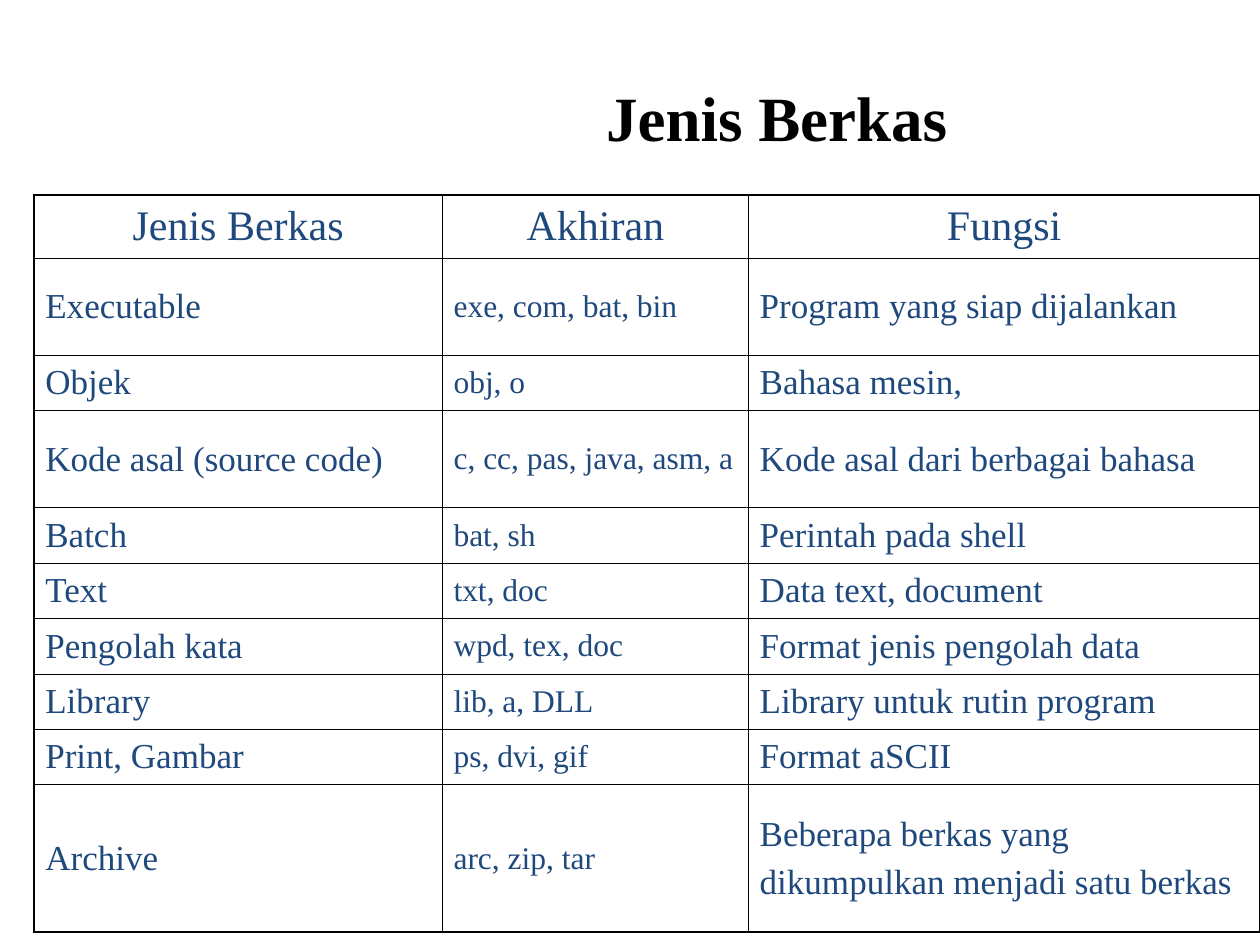
from dataclasses import dataclass

from lxml import etree
from pptx import Presentation
from pptx.dml.color import RGBColor
from pptx.enum.text import MSO_ANCHOR, MSO_AUTO_SIZE, PP_ALIGN
from pptx.oxml.ns import qn
from pptx.util import Inches, Pt

MIDDLE = MSO_ANCHOR.MIDDLE
CENTER, LEFT = PP_ALIGN.CENTER, PP_ALIGN.LEFT
TITLE_ONLY = 5


@dataclass(frozen=True)
class Theme:
    font: str = "Times New Roman"
    title_color: str = "000000"
    text_color: str = "1F497D"
    border_color: str = "000000"
    title_size: float = 36
    header_size: float = 24
    body_sizes: tuple = (20, 18, 20)
    paragraph_gap: float = 5
    outer_border: float = 1.08
    inner_border: float = 0.45


THEME = Theme()

TITLE_BOX = (2.33, 0.21, 7.67, 1.42)
TABLE_ORIGIN = (0.27, 1.55)
COLUMN_WIDTHS = (3.24, 2.43, 4.06)
HEADER_HEIGHT, LINE_HEIGHT, TALL_HEIGHT, ARCHIVE_HEIGHT = 0.5, 0.44, 0.77, 1.17
ROW_HEIGHTS = (
    HEADER_HEIGHT, TALL_HEIGHT, LINE_HEIGHT, TALL_HEIGHT,
    *[LINE_HEIGHT] * 5, ARCHIVE_HEIGHT,
)
CELL_FORMAT = {
    "vertical_anchor": MIDDLE,
    "margin_left": Inches(0.09),
    "margin_right": Inches(0.09),
    "margin_top": Inches(0.05),
    "margin_bottom": Inches(0.05),
}

FILE_TYPES = (
    ("Jenis Berkas", "Akhiran", "Fungsi"),
    ("Executable", "exe, com, bat, bin", "Program yang siap dijalankan"),
    ("Objek", "obj, o", "Bahasa mesin,"),
    ("Kode asal (source code)", "c, cc, pas, java, asm, a",
     "Kode asal dari berbagai bahasa"),
    ("Batch", "bat, sh", "Perintah pada shell"),
    ("Text", "txt, doc", "Data text, document"),
    ("Pengolah kata", "wpd, tex, doc", "Format jenis pengolah data"),
    ("Library", "lib, a, DLL", "Library untuk rutin program"),
    ("Print, Gambar", "ps, dvi, gif", "Format aSCII"),
    ("Archive", "arc, zip, tar",
     "Beberapa berkas yang\ndikumpulkan menjadi satu berkas"),
)


def apply_format(target, values):
    for name, value in values.items():
        setattr(target, name, value)


def write_text(frame, text, size, color, align, bold=False):
    """Write one paragraph per line, with a gap before all but the first."""
    frame.text = text
    for index, paragraph in enumerate(frame.paragraphs):
        paragraph.alignment = align
        if index:
            paragraph.space_before = Pt(THEME.paragraph_gap)
        for run in paragraph.runs:
            apply_format(run.font, {"name": THEME.font, "size": Pt(size), "bold": bold})
            run.font.color.rgb = RGBColor.from_string(color)


def set_borders(cell, widths):
    """Draw the left, right, top and bottom borders, in that order."""
    properties = cell._tc.get_or_add_tcPr()
    for index, (side, width) in enumerate(zip("LRTB", widths)):
        line = etree.Element(qn(f"a:ln{side}"), w=str(Pt(width)))
        fill = etree.SubElement(line, qn("a:solidFill"))
        etree.SubElement(fill, qn("a:srgbClr"), val=THEME.border_color)
        properties.insert(index, line)


def add_title(slide, box, text):
    title = slide.shapes.title
    title.left, title.top, title.width, title.height = map(Inches, box)
    apply_format(title.text_frame, {
        "word_wrap": True,
        "vertical_anchor": MIDDLE,
        "auto_size": MSO_AUTO_SIZE.NONE,
    })
    write_text(title.text_frame, text, THEME.title_size, THEME.title_color, CENTER, bold=True)


def add_file_type_table(slide, origin, rows):
    box = (*origin, sum(COLUMN_WIDTHS), sum(ROW_HEIGHTS))
    table = slide.shapes.add_table(
        len(rows), len(COLUMN_WIDTHS), *map(Inches, box)
    ).table
    apply_format(table, {"first_row": False, "horz_banding": False})
    for column, width in zip(table.columns, COLUMN_WIDTHS):
        column.width = Inches(width)
    for row, height in zip(table.rows, ROW_HEIGHTS):
        row.height = Inches(height)

    last_row, last_column = len(rows) - 1, len(COLUMN_WIDTHS) - 1
    for r, row in enumerate(rows):
        for c, text in enumerate(row):
            cell = table.cell(r, c)
            apply_format(cell, CELL_FORMAT)
            cell.fill.background()
            outer_sides = (c == 0, c == last_column, r == 0, r == last_row)
            set_borders(cell, [
                THEME.outer_border if outer else THEME.inner_border
                for outer in outer_sides
            ])
            size = THEME.body_sizes[c] if r else THEME.header_size
            write_text(cell.text_frame, text, size, THEME.text_color, LEFT if r else CENTER)


def main():
    presentation = Presentation()
    presentation.slide_width, presentation.slide_height = Inches(10), Inches(7.5)
    slide = presentation.slides.add_slide(presentation.slide_layouts[TITLE_ONLY])
    add_title(slide, TITLE_BOX, "Jenis Berkas")
    add_file_type_table(slide, TABLE_ORIGIN, FILE_TYPES)
    presentation.save("out.pptx")


if __name__ == "__main__":
    main()
